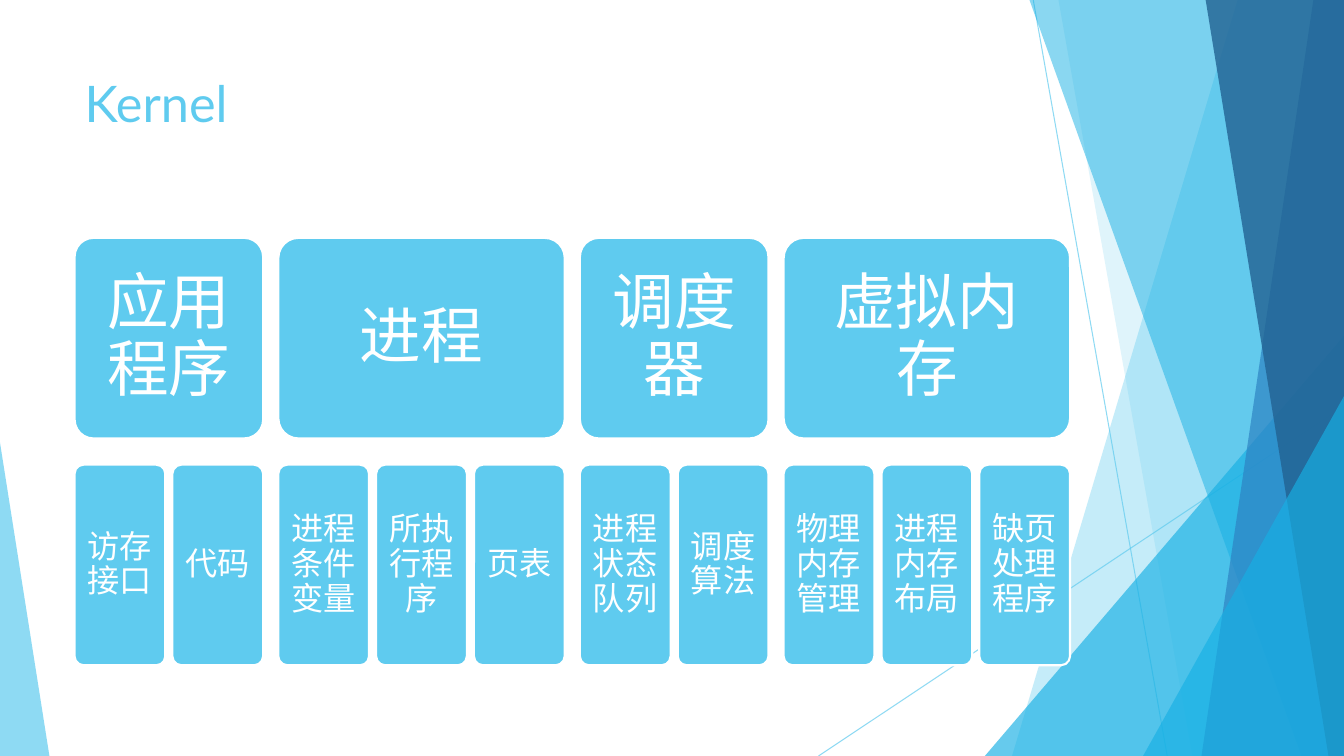
import lxml.etree
import pptx
import pptx.dml.color
import pptx.enum.shapes
import pptx.enum.text
import pptx.oxml.ns
import pptx.util

SLIDE_WIDTH = pptx.util.Inches(13.333)
SLIDE_HEIGHT = pptx.util.Inches(7.5)
FONT = "Lato"
COLORS = {"sky": "5FCBEF", "cyan": "17B0E4", "blue": "2E83C3", "navy": "226292", "white": "FFFFFF"}

GRID_LEFT = 5.55
COLUMN_PITCH = 7.28
COLUMN_WIDTH = 6.75
GROUP_GAP = 0.6
ROW_HEIGHT = 26.53
HEADER_TOP = 31.47
CHILD_TOP = 61.47

GROUPS = [
    ("应用程序", ["访存接口", "代码"]),
    ("进程", ["进程条件变量", "所执行程序", "页表"]),
    ("调度器", ["进程状态队列", "调度算法"]),
    ("虚拟内存", ["物理内存管理", "进程内存布局", "缺页处理程序"]),
]


def across(percent):
    return round(SLIDE_WIDTH * percent / 100)


def down(percent):
    return round(SLIDE_HEIGHT * percent / 100)


def rgb(name):
    return pptx.dml.color.RGBColor.from_string(COLORS[name])


def paint(fill, color, opacity=100):
    fill.solid()
    fill.fore_color.rgb = rgb(color)
    if opacity < 100:
        element = fill._xPr.find(".//" + pptx.oxml.ns.qn("a:srgbClr"))
        alpha = lxml.etree.SubElement(element, pptx.oxml.ns.qn("a:alpha"))
        alpha.set("val", str(opacity * 1000))


def add_ray(slide, start, end):
    ray = slide.shapes.add_connector(
        pptx.enum.shapes.MSO_CONNECTOR.STRAIGHT,
        across(start[0]), down(start[1]), across(end[0]), down(end[1]))
    ray.line.width = pptx.util.Pt(0.75)
    paint(ray.line.fill, "sky", 70)
    lxml.etree.SubElement(ray._element.spPr, pptx.oxml.ns.qn("a:effectLst"))


def add_band(slide, top_x, bottom_x, color, opacity):
    builder = slide.shapes.build_freeform(across(top_x), down(-0.1))
    corners = [(100, -0.1), (100, 100), (bottom_x, 100)]
    builder.add_line_segments([(across(x), down(y)) for x, y in corners], close=True)
    band = builder.convert_to_shape()
    band.shadow.inherit = False
    paint(band.fill, color, opacity)
    band.line.fill.background()


def add_corner(slide, left, top, width, peak, color, opacity):
    corner = slide.shapes.add_shape(
        pptx.enum.shapes.MSO_SHAPE.ISOSCELES_TRIANGLE,
        across(left), down(top), across(width), down(100 - top))
    corner.adjustments[0] = peak
    corner.shadow.inherit = False
    paint(corner.fill, color, opacity)
    corner.line.fill.background()


def add_text(frame, text, size, color):
    frame.word_wrap = True
    paragraph = frame.paragraphs[0]
    run = paragraph.add_run()
    run.text = text
    run.font.name = FONT
    run.font.size = pptx.util.Pt(size)
    run.font.color.rgb = rgb(color)
    return paragraph


def add_title(slide, text):
    box = slide.shapes.add_textbox(across(GRID_LEFT), down(8.93), across(70.5), down(19.2))
    add_text(box.text_frame, text, 36, "sky")


def add_card(slide, text, left, top, columns, size, inset):
    width = (columns - 1) * COLUMN_PITCH + COLUMN_WIDTH
    card = slide.shapes.add_shape(
        pptx.enum.shapes.MSO_SHAPE.ROUNDED_RECTANGLE,
        across(left), down(top), across(width), down(ROW_HEIGHT))
    card.adjustments[0] = 0.1
    card.shadow.inherit = False
    paint(card.fill, "sky")
    paint(card.line.fill, "white")
    card.line.width = pptx.util.Pt(1.5)
    frame = card.text_frame
    frame.margin_left = frame.margin_right = pptx.util.Inches(inset)
    frame.margin_top = frame.margin_bottom = pptx.util.Inches(inset)
    frame.vertical_anchor = pptx.enum.text.MSO_ANCHOR.MIDDLE
    paragraph = add_text(frame, text, size, "white")
    paragraph.alignment = pptx.enum.text.PP_ALIGN.CENTER
    paragraph.line_spacing = 0.9


def add_backdrop(slide):
    add_ray(slide, (76.88, 0), (86.85, 100))
    add_ray(slide, (100, 53.73), (60.9, 100))
    add_band(slide, 92.1, 75.3, "sky", 36)
    add_band(slide, 78.75, 88.73, "sky", 20)
    add_corner(slide, 73.28, 44.4, 26.72, 1, "cyan", 66)
    add_band(slide, 76.58, 96.83, "cyan", 50)
    add_band(slide, 97.73, 89.4, "blue", 70)
    add_band(slide, 89.7, 98.85, "navy", 80)
    add_corner(slide, 85.05, 52.4, 14.95, 1, "cyan", 66)
    add_corner(slide, 0, 58.53, 3.68, 0, "sky", 70)


def add_groups(slide):
    left = GRID_LEFT
    for header, children in GROUPS:
        add_card(slide, header, left, HEADER_TOP, len(children), 44, 0.18)
        for child in children:
            add_card(slide, child, left, CHILD_TOP, 1, 23, 0.09)
            left += COLUMN_PITCH
        left += GROUP_GAP


def main():
    presentation = pptx.Presentation()
    presentation.slide_width = SLIDE_WIDTH
    presentation.slide_height = SLIDE_HEIGHT
    slide = presentation.slides.add_slide(presentation.slide_layouts[6])
    add_backdrop(slide)
    add_title(slide, "Kernel")
    add_groups(slide)
    presentation.save("out.pptx")


if __name__ == "__main__":
    main()
